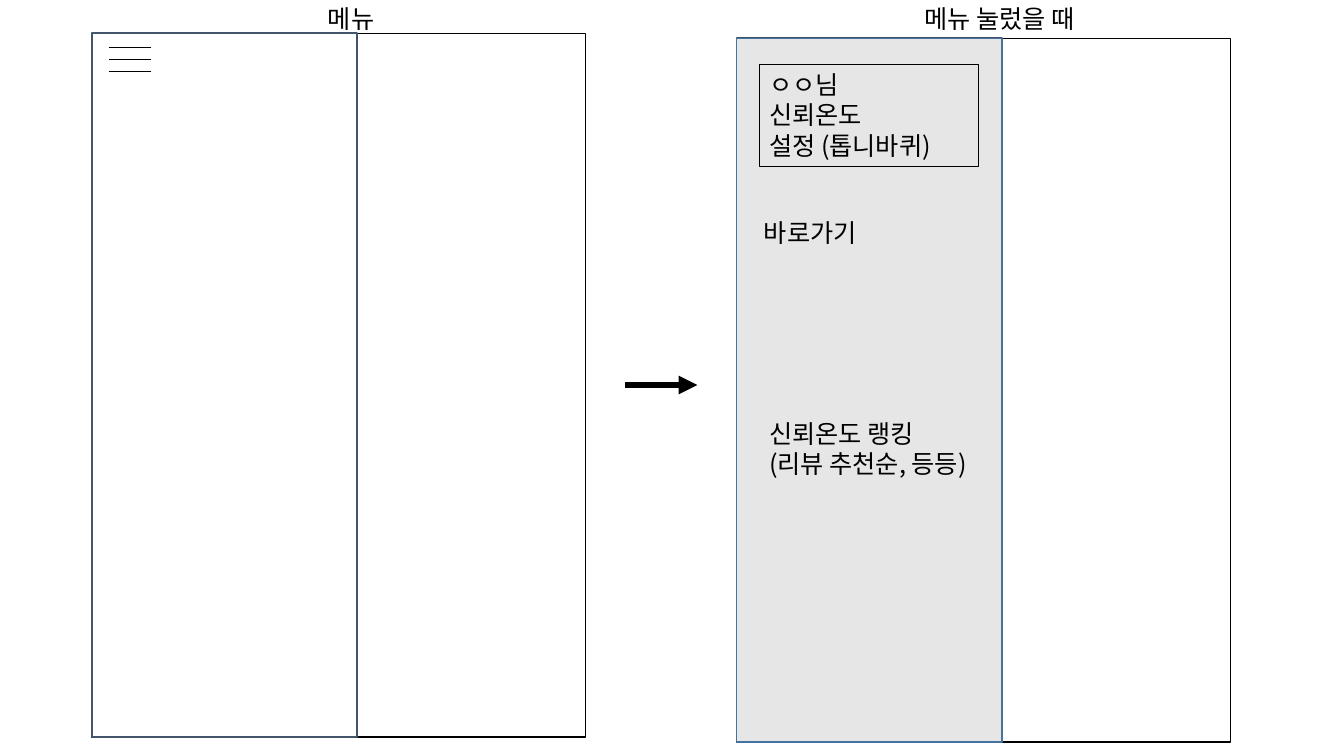
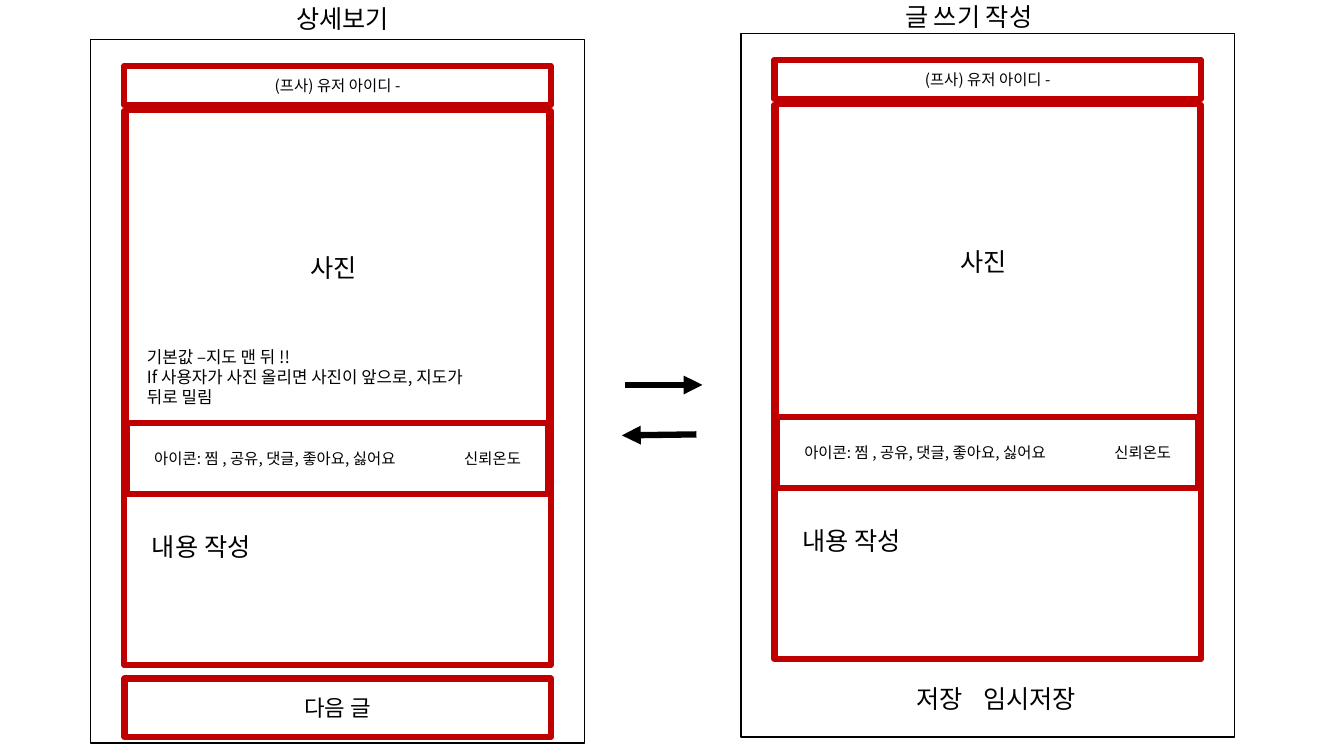
from lxml.etree import SubElement
from pptx import Presentation
from pptx.dml.color import RGBColor
from pptx.enum.shapes import MSO_CONNECTOR as Connector, MSO_SHAPE as Shape
from pptx.enum.text import MSO_ANCHOR as Anchor, MSO_AUTO_SIZE as AutoSize, PP_ALIGN as Align
from pptx.oxml.ns import qn
from pptx.util import Pt

FONT = "Noto Sans CJK KR"
BLACK, WHITE, RED = "000000", "FFFFFF", "C00000"
SLATE, BLUE, GRAY = "44546A", "43739E", "E7E6E6"
PHONE_SIZE = (352.8, 502.6)
DRAWER_SIZE = (189.4, 502.6)
LABEL_FRAME = {
    "word_wrap": True,
    "auto_size": AutoSize.NONE,
    "vertical_anchor": Anchor.TOP,
    "margin_left": Pt(7.2),
    "margin_right": Pt(7.2),
    "margin_top": Pt(3.6),
    "margin_bottom": Pt(3.6),
}
BAND_FRAME = LABEL_FRAME | {"vertical_anchor": Anchor.MIDDLE}


def color(value):
    """Turn a hex string into a colour."""
    return RGBColor.from_string(value)


def apply(target, values):
    """Set every attribute in a dict on the target."""
    for name, value in values.items():
        setattr(target, name, value)


def write(box, lines, size=18, align=Align.LEFT, frame=LABEL_FRAME, tab=None):
    """Fill a box with formatted paragraphs, with an optional tab stop."""
    text_frame = box.text_frame
    apply(text_frame, frame)
    text_frame.text = "\n".join(lines)
    for para in text_frame.paragraphs:
        para.alignment = align
        if tab:
            stops = SubElement(para._p.get_or_add_pPr(), qn("a:tabLst"))
            SubElement(stops, qn("a:tab"), pos=str(Pt(tab)), algn="l")
        for span in para.runs:
            apply(span.font, {"size": Pt(size), "name": FONT})
            span.font.color.rgb = color(BLACK)
            SubElement(span._r.get_or_add_rPr(), qn("a:ea"), typeface=FONT)


def add_rect(shapes, left, top, width, height, line=BLACK, weight=1, fill=WHITE):
    """Add an outlined rectangle, unfilled if fill is None."""
    rect = shapes.add_shape(Shape.RECTANGLE, Pt(left), Pt(top), Pt(width), Pt(height))
    rect.shadow.inherit = False
    if fill:
        rect.fill.solid()
        rect.fill.fore_color.rgb = color(fill)
    else:
        rect.fill.background()
    rect.line.color.rgb = color(line)
    rect.line.width = Pt(weight)
    return rect


def add_label(shapes, left, top, width, height, *lines, **style):
    """Add a wrapping text box."""
    box = shapes.add_textbox(Pt(left), Pt(top), Pt(width), Pt(height))
    write(box, lines, **style)


def add_line(shapes, start, end, weight, arrow=False):
    """Add a straight black line, with an arrowhead at its end if asked."""
    line = shapes.add_connector(Connector.STRAIGHT, *map(Pt, start + end))
    line.line.color.rgb = color(BLACK)
    line.line.width = Pt(weight)
    if arrow:
        SubElement(line.line._get_or_add_ln(), qn("a:tailEnd"), type="triangle")
    SubElement(line._element.spPr, qn("a:effectLst"))


def add_page(deck, title, left, width):
    """Add a page whose title is the caption above its left screen."""
    page = deck.slides.add_slide(deck.slide_layouts[5])
    box = page.shapes.title
    apply(box, {"left": Pt(left), "top": Pt(-1), "width": Pt(width), "height": Pt(29)})
    write(box, [title])
    return page


def add_menu_phone(page, left, top):
    """Add a phone outline with a drawer and return its group's shapes."""
    shapes = page.shapes.add_group_shape().shapes
    add_rect(shapes, left, top, *PHONE_SIZE)
    add_rect(shapes, left, top, *DRAWER_SIZE, line=SLATE, weight=1.5)
    return shapes


def add_post_phone(page, left, top):
    """Add a phone showing a post and return its group's shapes."""
    shapes = page.shapes.add_group_shape().shapes
    add_rect(shapes, left, top, *PHONE_SIZE)
    add_rect(shapes, left + 24, top + 51, 304.6, 396, RED, 4.5)
    add_rect(shapes, left + 26, top + 51, 301, 223.2, RED, 3)
    add_label(shapes, left + 150, top + 148.3, 88.6, 29.5, "사진")
    icons = add_rect(shapes, left + 26, top + 274.2, 301, 50.4, RED, 4.5)
    icon_frame = BAND_FRAME | {"margin_left": Pt(19.3), "margin_right": Pt(0)}
    write(icons, ["아이콘: 찜 , 공유, 댓글, 좋아요, 싫어요\t신뢰온도"], 11, frame=icon_frame, tab=221.5)
    user = add_rect(shapes, left + 24, top + 19, 304.6, 28, RED, 4.5)
    write(user, ["(프사) 유저 아이디 -"], 11, Align.CENTER, BAND_FRAME)
    add_label(shapes, left + 36.7, top + 348, 139.7, 29, "내용 작성")
    return shapes


def build_menu_page(deck):
    """Build the page with the closed and the opened menu."""
    page = add_page(deck, "메뉴", 227, 113)
    closed = add_menu_phone(page, 65.5, 23.8)
    for row in range(3):
        height = 33.9 + 8.6 * row
        add_line(closed, (77.8, height), (108, height), 0.5)
    add_line(page.shapes, (446.4, 275), (498.2, 275), 4.5, arrow=True)
    left, top = 526.3, 27.4
    opened = add_menu_phone(page, left, top)
    add_rect(opened, left, top, *DRAWER_SIZE, line=BLUE, fill=GRAY)
    profile = add_rect(opened, 542.2, 46.1, 157, 72.7, weight=0.75, fill=None)
    write(profile, ["ㅇㅇ님", "신뢰온도", "설정 (톱니바퀴)"])
    add_label(opened, 538.6, 152, 157, 29, "바로가기")
    add_label(opened, 542.2, 295.2, 157, 72.7, "신뢰온도 랭킹", "(리뷰 추천순, 등등)")
    add_label(page.shapes, 653, -1, 144, 29, "메뉴 눌렀을 때")


def build_post_page(deck):
    """Build the page with the post view and the post editor."""
    page = add_page(deck, "상세보기", 204.5, 129.6)
    add_line(page.shapes, (446.4, 275), (501.8, 275), 4.5, arrow=True)
    editor = add_post_phone(page, 529.2, 23.8)
    add_label(editor, 639.4, -2.9, 132.5, 29, "글 쓰기 작성")
    add_label(editor, 647.3, 484.6, 151.2, 29, "저장\t임시저장", tab=48)
    add_post_phone(page, 64.8, 28.1)
    following = add_rect(page.shapes, 89, 484.6, 304.6, 41.8, RED, 4.5)
    write(following, ["다음 글"], 16, Align.CENTER, BAND_FRAME)
    add_line(page.shapes, (497.5, 310.3), (444.2, 311), 4.5, arrow=True)
    add_label(page.shapes, 97.9, 244.1, 261.4, 51.1, "기본값 –지도 맨 뒤 !!",
              "If 사용자가 사진 올리면 사진이 앞으로, 지도가 뒤로 밀림", size=12)


def main():
    """Build and save the deck."""
    deck = Presentation()
    apply(deck, {"slide_width": Pt(960), "slide_height": Pt(540)})
    build_menu_page(deck)
    build_post_page(deck)
    deck.save("out.pptx")


if __name__ == "__main__":
    main()
